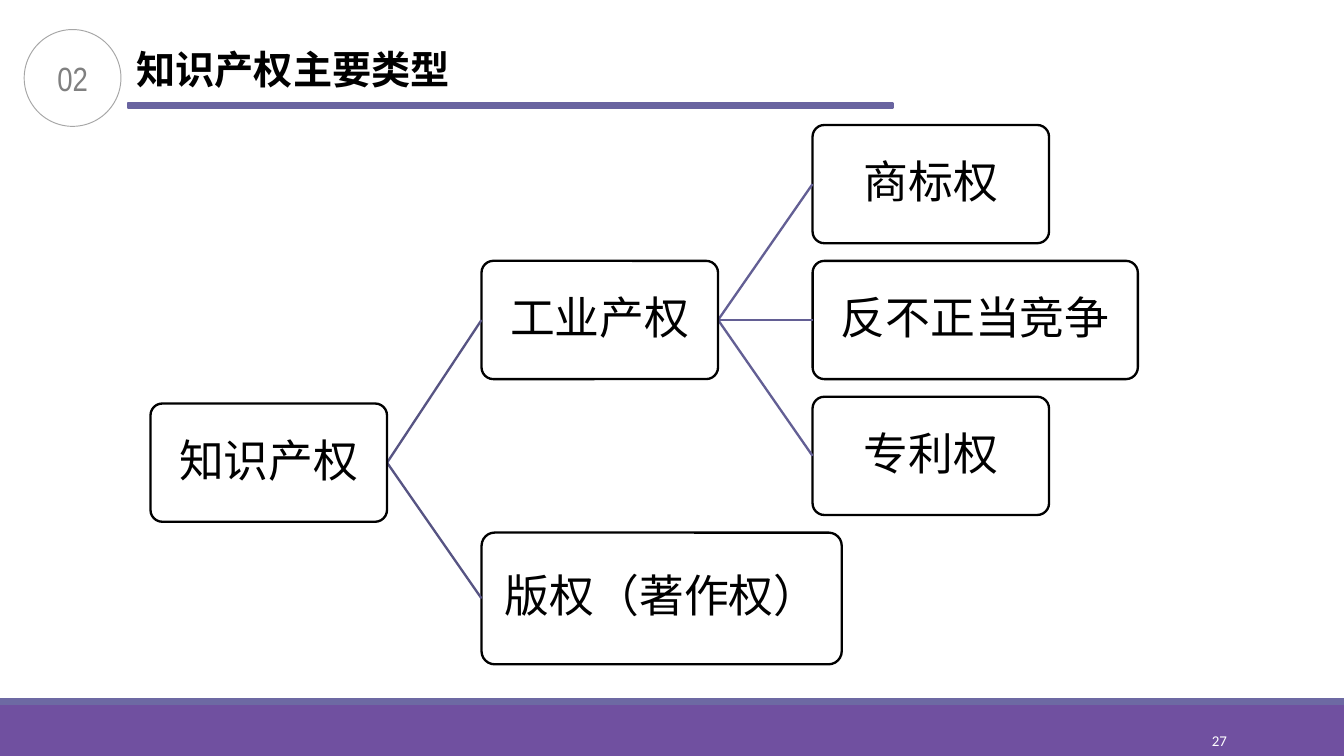
from dataclasses import dataclass
from typing import NamedTuple

from lxml import etree
from pptx import Presentation
from pptx.dml.color import RGBColor
from pptx.enum.shapes import MSO_CONNECTOR, MSO_SHAPE
from pptx.enum.text import MSO_ANCHOR, PP_ALIGN
from pptx.oxml.ns import qn
from pptx.util import Inches, Pt

RECTANGLE, ROUNDED, OVAL = MSO_SHAPE.RECTANGLE, MSO_SHAPE.ROUNDED_RECTANGLE, MSO_SHAPE.OVAL
STRAIGHT = MSO_CONNECTOR.STRAIGHT
TOP, MIDDLE = MSO_ANCHOR.TOP, MSO_ANCHOR.MIDDLE
LEFT, CENTER, RIGHT = PP_ALIGN.LEFT, PP_ALIGN.CENTER, PP_ALIGN.RIGHT
COLUMNS, ROWS = 100, 56.25
CELL = Inches(0.1)


@dataclass(frozen=True)
class Theme:
    """Colours, fonts and type sizes of the deck."""
    ink: str = "000000"
    paper: str = "FFFFFF"
    footer: str = "7050A0"
    stripe: str = "6D69A3"
    rule: str = "6964A0"
    ring: str = "A6A6A6"
    number: str = "808080"
    branches: tuple = ("575483", "635F94")
    chinese: str = "Noto Sans CJK SC"
    body: str = "Calibri"
    narrow: str = "Arial Narrow"
    title_size: float = 21
    number_size: float = 18
    node_size: float = 24
    page_size: float = 8
    line: float = 1.25
    hairline: float = 0.5


THEME = Theme()


class Box(NamedTuple):
    """A rectangle in grid columns and rows."""
    left: float
    top: float
    width: float
    height: float

    def inner(self, left, top, width, height):
        """Return a box given as offsets from this one."""
        return Box(self.left + left, self.top + top, width, height)

    def lengths(self):
        """Return the four lengths in slide units."""
        return [round(value * CELL) for value in self]


class Node(NamedTuple):
    """A tree box, its row, its size and its children."""
    label: str
    row: float
    width: float = 17.6
    height: float = 8.8
    children: tuple = ()


TREE = Node("知识产权", 2.05, children=(
    Node("工业产权", 1, children=(
        Node("商标权", 0),
        Node("反不正当竞争", 1, width=24.2),
        Node("专利权", 2),
    )),
    Node("版权（著作权）", 3, width=26.8, height=9.8),
))


def colour(value):
    """Turn a hex value into a colour."""
    return RGBColor.from_string(value)


def add_panel(page, kind, box, fill=None, line=None, weight=THEME.line):
    """Draw a preset shape without a shadow."""
    panel = page.shapes.add_shape(kind, *box.lengths())
    panel.shadow.inherit = False
    if fill:
        panel.fill.solid()
        panel.fill.fore_color.rgb = colour(fill)
    else:
        panel.fill.background()
    if line:
        panel.line.color.rgb = colour(line)
        panel.line.width = Pt(weight)
    else:
        panel.line.fill.background()
    return panel


def write(shape, words, size, font, ink, align=CENTER, anchor=MIDDLE,
          insets=(0.07, 0.04), bold=False, wrap=True):
    """Write one paragraph into a shape."""
    frame = shape.text_frame
    frame.word_wrap = wrap
    frame.vertical_anchor = anchor
    frame.margin_left = frame.margin_right = Inches(insets[0])
    frame.margin_top = frame.margin_bottom = Inches(insets[1])
    para = frame.paragraphs[0]
    para.text = words
    para.alignment = align
    para.font.size = Pt(size)
    para.font.bold = bold
    para.font.name = font
    para.font.color.rgb = colour(ink)
    defaults = para._p.pPr.find(qn("a:defRPr"))
    etree.SubElement(defaults, qn("a:ea"), typeface=THEME.chinese)
    return para


def add_branch(page, start, end, ink):
    """Join two grid points with a plain line."""
    points = [round(value * CELL) for value in (*start, *end)]
    branch = page.shapes.add_connector(STRAIGHT, *points)
    branch.line.color.rgb = colour(ink)
    branch.line.width = Pt(THEME.line)
    etree.SubElement(branch._element.spPr, qn("a:effectLst"))


def add_footer(page, box):
    """Draw the footer band, its stripe and the page number."""
    stripe = 0.5
    add_panel(page, RECTANGLE, box.inner(0, stripe, box.width, box.height - stripe), THEME.footer)
    add_panel(page, RECTANGLE, box.inner(0, 0, box.width, stripe), THEME.stripe)
    label = page.shapes.add_textbox(*box.inner(81.2, 1.65, 10.8, 3).lengths())
    write(label, "27", THEME.page_size, THEME.body, THEME.paper, RIGHT)


def add_header(page, box):
    """Draw the section number, the title and the rule below it."""
    add_panel(page, RECTANGLE, box.inner(7.7, 5.45, 56.9, 0.4), THEME.rule, THEME.rule)
    ring = add_panel(page, OVAL, box.inner(0, 0, 7.2, box.height),
                     line=THEME.ring, weight=THEME.hairline)
    write(ring, "02", THEME.number_size, THEME.narrow, THEME.number)
    title = page.shapes.add_textbox(*box.inner(7.65, 0.8, 25.2, 4.3).lengths())
    write(title, "知识产权主要类型", THEME.title_size, THEME.chinese, THEME.ink,
          LEFT, TOP, bold=True, wrap=False)


def add_tree(page, box, node, level=0):
    """Draw a node, its branches and its children; return its left joint."""
    column, row = 24.63, 10.11
    place = box.inner(level * column, node.row * row, node.width, node.height)
    middle = place.top + place.height / 2
    for child in node.children:
        joint = add_tree(page, box, child, level + 1)
        add_branch(page, (place.left + place.width, middle), joint, THEME.branches[level])
    panel = add_panel(page, ROUNDED, place, THEME.paper, THEME.ink)
    panel.adjustments[0] = 0.1
    para = write(panel, node.label, THEME.node_size, THEME.body, THEME.ink, insets=(0.02, 0.02))
    para.line_spacing = 0.9
    return place.left, middle


def main():
    """Build and save the deck."""
    deck = Presentation()
    deck.slide_width, deck.slide_height = round(COLUMNS * CELL), round(ROWS * CELL)
    page = deck.slides.add_slide(deck.slide_layouts[6])
    add_footer(page, Box(0, 51.95, COLUMNS, ROWS - 51.95))
    add_header(page, Box(1.8, 2.2, 64.6, 7.2))
    add_tree(page, Box(11.2, 9.3, 73.5, 40.1), TREE)
    deck.save("out.pptx")


if __name__ == "__main__":
    main()
